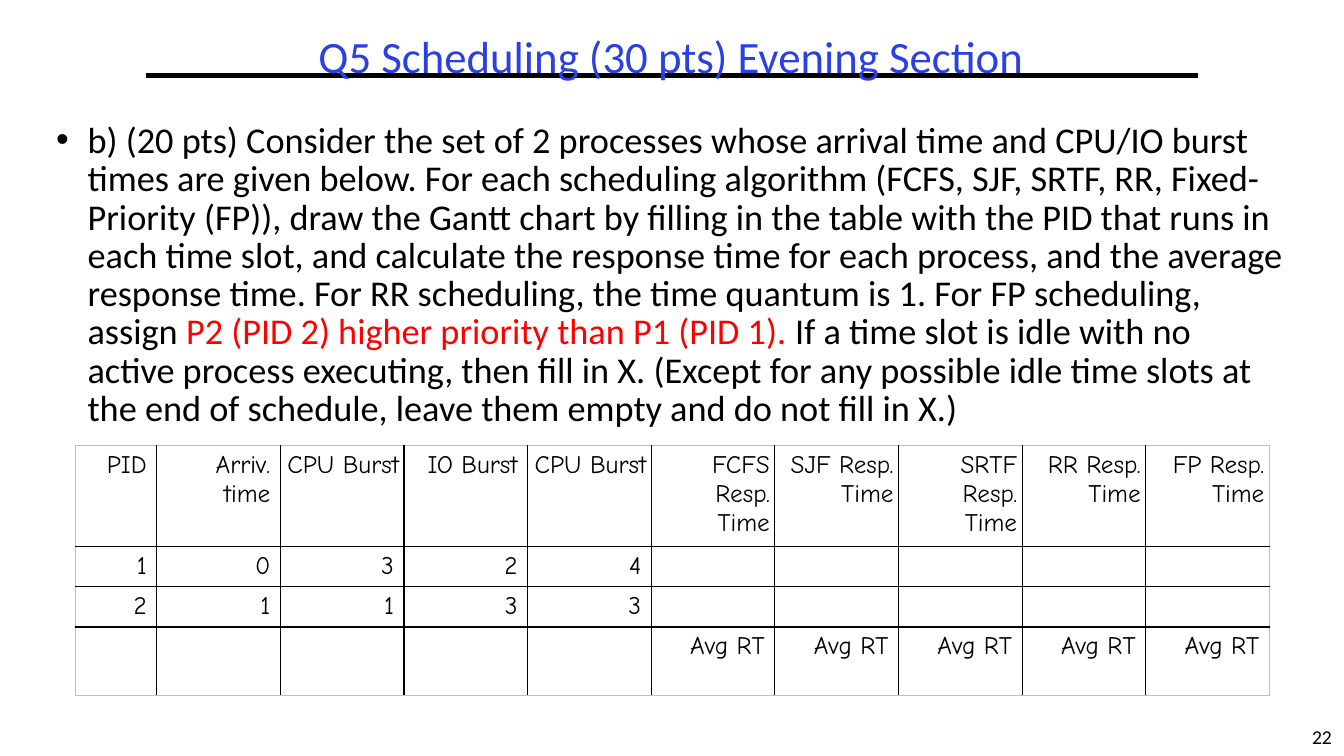
from lxml.etree import SubElement
from pptx import Presentation
from pptx.dml.color import RGBColor
from pptx.enum.shapes import MSO_CONNECTOR
from pptx.enum.text import MSO_ANCHOR, PP_ALIGN
from pptx.oxml.ns import qn
from pptx.util import Pt

COLORS = {"ink": "000000", "title": "2A40E2", "priority": "FF0000", "frame": "BFBFBF"}


def style(span, size, color, name="Calibri"):
    span.font.size = Pt(size)
    span.font.name = name
    span.font.color.rgb = RGBColor.from_string(COLORS[color])


def draw_border(cell, side, color, width):
    line = SubElement(cell._tc.get_or_add_tcPr(), qn(f"a:{side}"), w=str(Pt(width)))
    fill = SubElement(line, qn("a:solidFill"))
    SubElement(fill, qn("a:srgbClr"), val=COLORS[color])


deck = Presentation()
deck.slide_width, deck.slide_height = Pt(960), Pt(540)
page = deck.slides.add_slide(deck.slide_layouts[6])

rule = page.shapes.add_connector(MSO_CONNECTOR.STRAIGHT, Pt(104), Pt(54), Pt(856), Pt(54))
rule.line.width = Pt(3)
rule.line.color.rgb = RGBColor.from_string(COLORS["ink"])
SubElement(rule._element.spPr, qn("a:effectLst"))

labels = [
    ("22", 928.8, 516.2, 31, 24, 14, "ink", False),
    ("Q5 Scheduling (30 pts) Evening Section", 33, 21.6, 893, 42, 32, "title", True),
]
for text, left, top, width, height, size, color, wrap in labels:
    box = page.shapes.add_textbox(Pt(left), Pt(top), Pt(width), Pt(height))
    box.text_frame.word_wrap = wrap
    para = box.text_frame.paragraphs[0]
    para.text = text
    para.alignment = PP_ALIGN.CENTER
    para.line_spacing = 0.9
    style(para.runs[0], size, color)

question = [
    ("b) (20 pts) Consider the set of 2 processes whose arrival time and CPU/IO burst times "
     "are given below. For each scheduling algorithm (FCFS, SJF, SRTF, RR, Fixed-Priority "
     "(FP)), draw the Gantt chart by filling in the table with the PID that runs in each time "
     "slot, and calculate the response time for each process, and the average response time. "
     "For RR scheduling, the time quantum is 1. For FP scheduling, assign ", "ink"),
    ("P2 (PID 2) higher priority than P1 (PID 1). ", "priority"),
    ("If a time slot is idle with no active process executing, then fill in X. (Except for "
     "any possible idle time slots at the end of schedule, leave them empty and do not fill "
     "in X.)", "ink"),
]
box = page.shapes.add_textbox(Pt(33), Pt(84.2), Pt(893), Pt(233))
box.text_frame.word_wrap = True
para = box.text_frame.paragraphs[0]
para.line_spacing = 0.88
properties = para._p.get_or_add_pPr()
properties.set("marL", str(Pt(22.5)))
properties.set("indent", str(Pt(-22.5)))
SubElement(properties, qn("a:buFont"), typeface="Arial")
SubElement(properties, qn("a:buChar"), char="•")
for text, color in question:
    span = para.add_run()
    span.text = text
    style(span, 25.9, color)

algorithms = ["FCFS", "SJF", "SRTF", "RR", "FP"]
rows = [
    ["PID", "Arriv. time", "CPU Burst", "IO Burst", "CPU Burst"]
    + [f"{name} Resp. Time" for name in algorithms],
    ["1", "0", "3", "2", "4"] + [""] * 5,
    ["2", "1", "1", "3", "3"] + [""] * 5,
    [""] * 5 + ["Avg RT"] * 5,
]
widths = [58] + [88.3] * 9
heights = [69.6, 28, 28, 48.6]
frame = page.shapes.add_table(
    len(rows), len(widths), Pt(54), Pt(318.2), Pt(sum(widths)), Pt(sum(heights)))
table = frame.table
table.first_row = table.horz_banding = False
for column, width in zip(table.columns, widths):
    column.width = Pt(width)
for row, height in zip(table.rows, heights):
    row.height = Pt(height)

for y, values in enumerate(rows):
    for x, value in enumerate(values):
        cell = table.cell(y, x)
        cell.vertical_anchor = MSO_ANCHOR.TOP
        tight = y == 0 and (x >= 4 or x == 2)
        cell.margin_left = cell.margin_right = Pt(3.6 if tight else 7.2)
        edges = {"lnL": x == 0, "lnR": x == len(widths) - 1,
                 "lnT": y == 0, "lnB": y == len(rows) - 1}
        for side, outer in edges.items():
            draw_border(cell, side, "frame" if outer else "ink", 0.5 if outer else 1)
        cell.fill.background()
        para = cell.text_frame.paragraphs[0]
        para.text = value
        para.alignment = PP_ALIGN.RIGHT
        para.font.size = Pt(18)
        for span in para.runs:
            style(span, 18, "ink", "Comic Neue")

deck.save("out.pptx")
